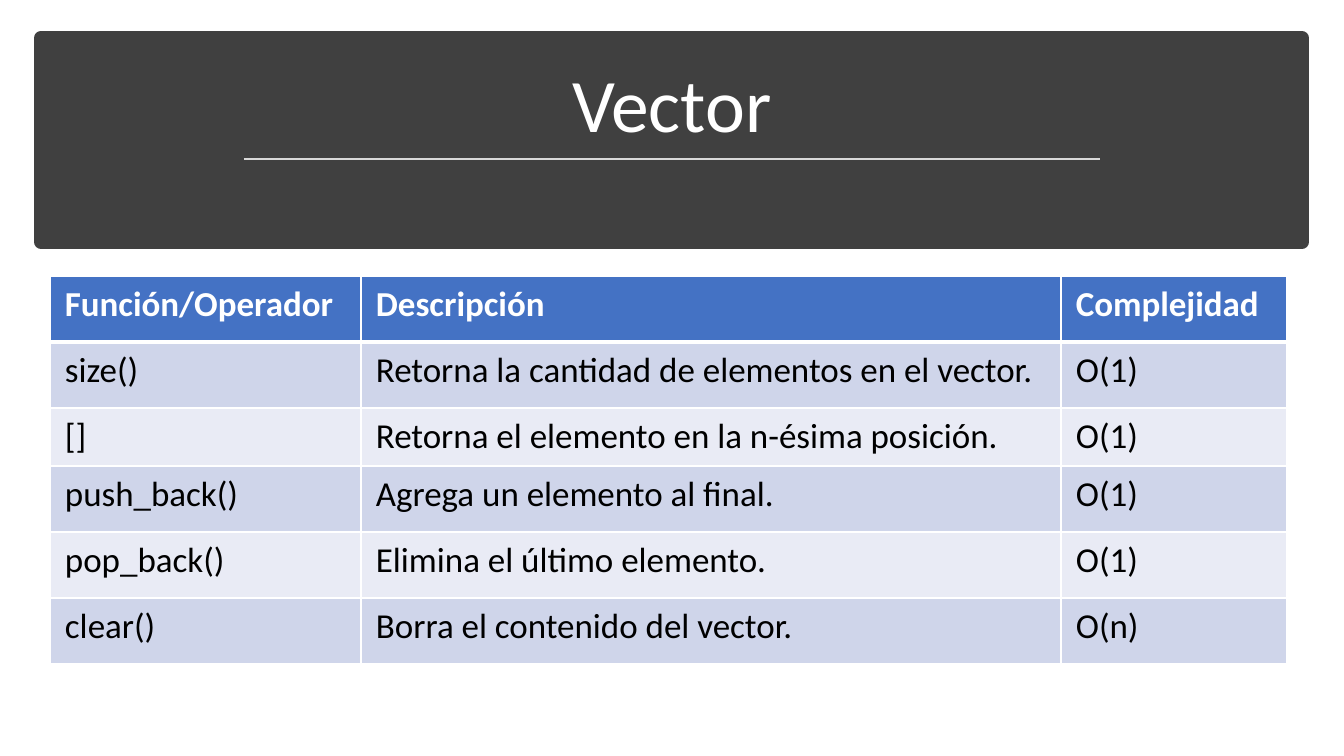
from dataclasses import dataclass

from lxml import etree
from pptx import Presentation
from pptx import util as u
from pptx.dml.color import RGBColor
from pptx.enum import shapes, text
from pptx.oxml.ns import qn


@dataclass(frozen=True)
class Theme:
    font: str = "Calibri"
    band: str = "404040"
    rule: str = "D9D9D9"
    white: str = "FFFFFF"
    ink: str = "000000"
    header: str = "4472C4"
    stripes: tuple[str, str] = ("CFD5EA", "E9EBF5")
    title_pt: int = 54
    table_pt: int = 25


@dataclass(frozen=True)
class Operation:
    name: str
    description: str
    complexity: str


THEME = Theme()
HEADER = Operation("Función/Operador", "Descripción", "Complejidad")
OPERATIONS = [
    Operation("size()", "Retorna la cantidad de elementos en el vector.", "O(1)"),
    Operation("[]", "Retorna el elemento en la n-ésima posición.", "O(1)"),
    Operation("push_back()", "Agrega un elemento al final.", "O(1)"),
    Operation("pop_back()", "Elimina el último elemento.", "O(1)"),
    Operation("clear()", "Borra el contenido del vector.", "O(n)"),
]
COLUMN_WIDTHS = [311, 700, 226]
ROW_HEIGHTS = [66, 66, 58, 66, 66, 66]


def px(n: int) -> u.Emu:
    return u.Emu(round(n * 914400 / 100.8))


def rgb(color: str) -> RGBColor:
    return RGBColor.from_string(color)


def add_run(p, content: str, size: int, color: str, bold: bool = False) -> None:
    r = p.add_run()
    r.text = content
    r.font.name = THEME.font
    r.font.size = u.Pt(size)
    r.font.bold = bold
    r.font.color.rgb = rgb(color)


def set_borders(cell, bottom_pt: int, top_pt: int) -> None:
    tc_pr = cell._tc.get_or_add_tcPr()
    widths = {"lnL": 1, "lnR": 1, "lnT": top_pt, "lnB": bottom_pt}
    for i, (side, width) in enumerate(widths.items()):
        ln = etree.Element(qn(f"a:{side}"), w=str(u.Pt(width)))
        fill = etree.SubElement(ln, qn("a:solidFill"))
        etree.SubElement(fill, qn("a:srgbClr"), val=THEME.white)
        tc_pr.insert(i, ln)


def add_band(s) -> None:
    sp = s.shapes.add_shape(shapes.MSO_SHAPE.RECTANGLE, px(41), px(38), px(1261), px(204))
    sp.shadow.inherit = False
    sp.fill.solid()
    sp.fill.fore_color.rgb = rgb(THEME.band)
    sp.line.color.rgb = rgb(THEME.band)
    sp.line.width = u.Pt(10)
    s.shapes._spTree.insert(2, sp._element)  # behind the title


def add_title(s) -> None:
    sp = s.shapes.title
    sp.left, sp.top, sp.width, sp.height = px(58), px(51), px(1228), px(103)
    tf = sp.text_frame
    tf.auto_size = text.MSO_AUTO_SIZE.NONE
    tf.vertical_anchor = text.MSO_ANCHOR.BOTTOM
    p = tf.paragraphs[0]
    p.alignment = text.PP_ALIGN.CENTER
    p.line_spacing = 0.9
    add_run(p, "Vector", THEME.title_pt, THEME.white)


def add_rule(s) -> None:
    line = s.shapes.add_connector(shapes.MSO_CONNECTOR.STRAIGHT,
                                  px(244), px(159), px(1100), px(159))
    line.line.color.rgb = rgb(THEME.rule)
    line.line.width = u.Pt(1.75)
    etree.SubElement(line._element.spPr, qn("a:effectLst"))


def fill_cell(cell, content: str, row: int) -> None:
    is_header = row == 0
    cell.margin_left = cell.margin_right = px(15)
    cell.margin_top = cell.margin_bottom = px(7)
    cell.fill.solid()
    cell.fill.fore_color.rgb = rgb(THEME.header if is_header else THEME.stripes[(row - 1) % 2])
    set_borders(cell, bottom_pt=3 if is_header else 1, top_pt=3 if row == 1 else 1)
    add_run(cell.text_frame.paragraphs[0], content, THEME.table_pt,
            THEME.white if is_header else THEME.ink, is_header)


def add_operations_table(s) -> None:
    rows = [HEADER, *OPERATIONS]
    table = s.shapes.add_table(len(rows), len(COLUMN_WIDTHS), px(50), px(276),
                               px(sum(COLUMN_WIDTHS)), px(sum(ROW_HEIGHTS))).table
    for column, width in zip(table.columns, COLUMN_WIDTHS):
        column.width = px(width)
    for i, (row, height, op) in enumerate(zip(table.rows, ROW_HEIGHTS, rows)):
        row.height = px(height)
        for cell, content in zip(row.cells, (op.name, op.description, op.complexity)):
            fill_cell(cell, content, i)


def main() -> None:
    prs = Presentation()
    prs.slide_width, prs.slide_height = px(1344), px(756)
    s = prs.slides.add_slide(prs.slide_layouts.get_by_name("Title Only"))
    # Heading
    add_band(s)
    add_title(s)
    add_rule(s)
    # Operations and their cost
    add_operations_table(s)
    prs.save("out.pptx")


if __name__ == "__main__":
    main()
